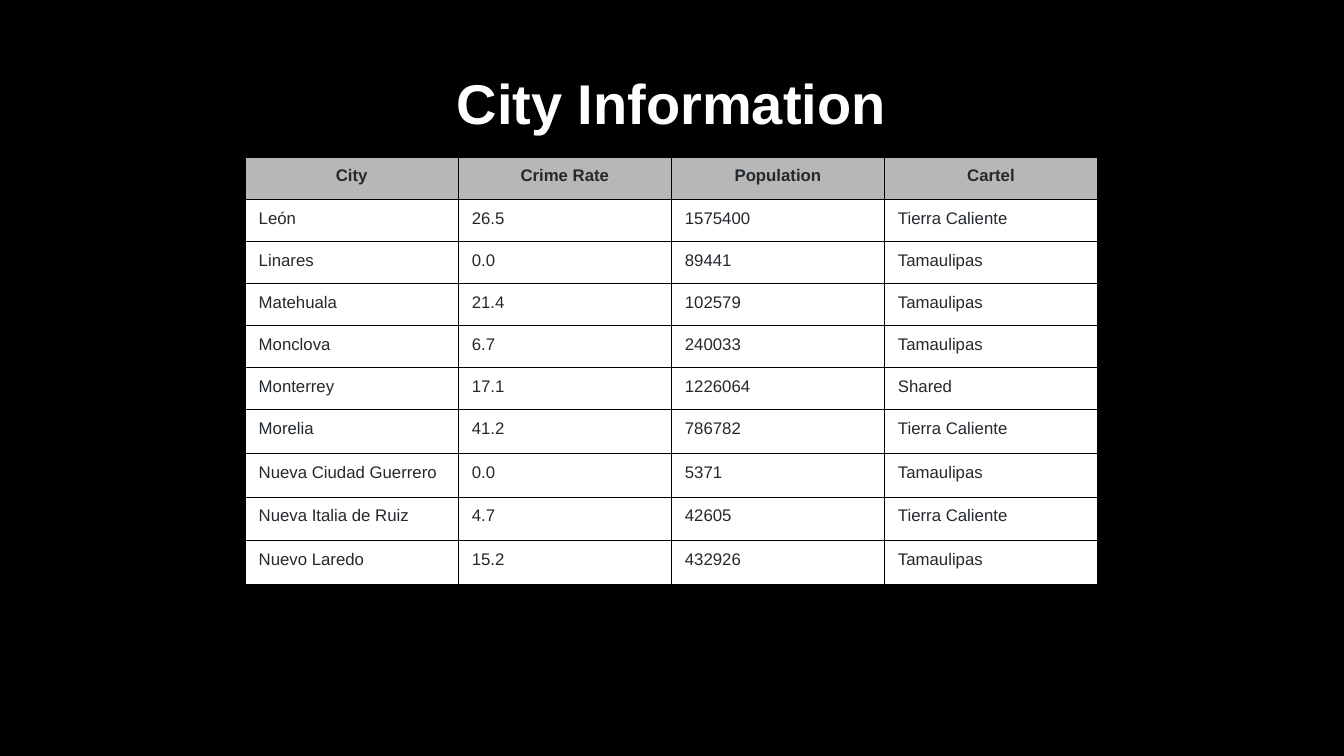
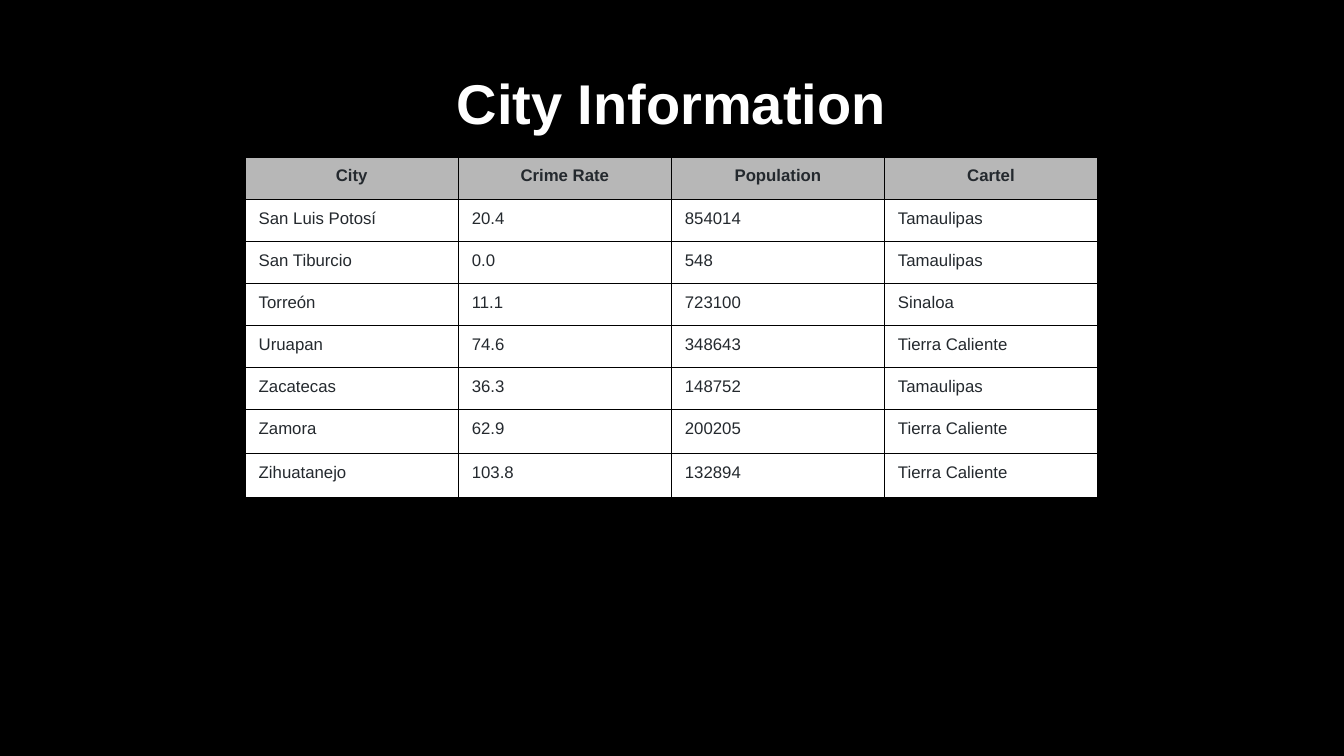
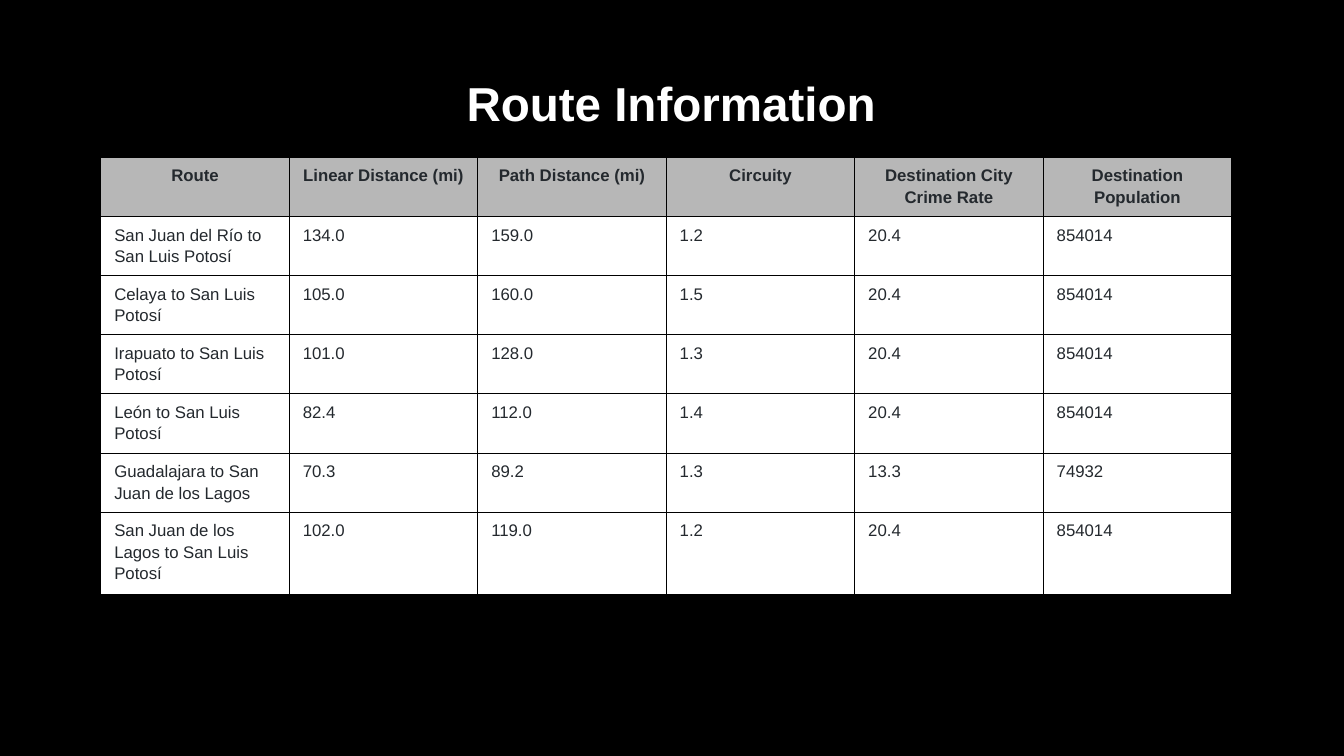
import pptx
import pptx.dml.color
import pptx.enum.text
import pptx.oxml.ns
import pptx.util
from lxml import etree

Cm = pptx.util.Cm
Pt = pptx.util.Pt
RGBColor = pptx.dml.color.RGBColor
PP_ALIGN = pptx.enum.text.PP_ALIGN
qn = pptx.oxml.ns.qn

BLACK = RGBColor(0x00, 0x00, 0x00)
WHITE = RGBColor(0xFF, 0xFF, 0xFF)
HEADER_GREY = RGBColor(0xB7, 0xB7, 0xB7)
INK = RGBColor(0x24, 0x29, 0x2E)

FONT = "Arial"
BLANK_LAYOUT = 6
TABLE_TOP = Cm(3.97)
ROW_LOW, ROW_HIGH = 1.06, 1.1
TWO_LINES, THREE_LINES = 1.41, 1.97

CITY_HEADER = ("City", "Crime Rate", "Population", "Cartel")
CITIES_L_TO_N = [
    ("León", "26.5", "1575400", "Tierra Caliente"),
    ("Linares", "0.0", "89441", "Tamaulipas"),
    ("Matehuala", "21.4", "102579", "Tamaulipas"),
    ("Monclova", "6.7", "240033", "Tamaulipas"),
    ("Monterrey", "17.1", "1226064", "Shared"),
    ("Morelia", "41.2", "786782", "Tierra Caliente"),
    ("Nueva Ciudad Guerrero", "0.0", "5371", "Tamaulipas"),
    ("Nueva Italia de Ruiz", "4.7", "42605", "Tierra Caliente"),
    ("Nuevo Laredo", "15.2", "432926", "Tamaulipas"),
]
CITIES_S_TO_Z = [
    ("San Luis Potosí", "20.4", "854014", "Tamaulipas"),
    ("San Tiburcio", "0.0", "548", "Tamaulipas"),
    ("Torreón", "11.1", "723100", "Sinaloa"),
    ("Uruapan", "74.6", "348643", "Tierra Caliente"),
    ("Zacatecas", "36.3", "148752", "Tamaulipas"),
    ("Zamora", "62.9", "200205", "Tierra Caliente"),
    ("Zihuatanejo", "103.8", "132894", "Tierra Caliente"),
]
ROUTE_HEADER = ("Route", "Linear Distance (mi)", "Path Distance (mi)", "Circuity",
                "Destination City Crime Rate", "Destination Population")
ROUTES = [
    ("San Juan del Río to San Luis Potosí", "134.0", "159.0", "1.2", "20.4", "854014"),
    ("Celaya to San Luis Potosí", "105.0", "160.0", "1.5", "20.4", "854014"),
    ("Irapuato to San Luis Potosí", "101.0", "128.0", "1.3", "20.4", "854014"),
    ("León to San Luis Potosí", "82.4", "112.0", "1.4", "20.4", "854014"),
    ("Guadalajara to San Juan de los Lagos", "70.3", "89.2", "1.3", "13.3", "74932"),
    ("San Juan de los Lagos to San Luis Potosí", "102.0", "119.0", "1.2", "20.4", "854014"),
]


def style_paragraph(p, size, color, bold, spacing):
    p.line_spacing = spacing
    p.font.name = FONT
    p.font.size = Pt(size)
    p.font.bold = bold
    p.font.color.rgb = color


def add_title(s, text, size):
    sp = s.shapes.add_textbox(Cm(2.54), Cm(0.84), Cm(28.75), Cm(3.68))
    tf = sp.text_frame
    tf.word_wrap = True
    tf.vertical_anchor = pptx.enum.text.MSO_ANCHOR.MIDDLE
    p = tf.paragraphs[0]
    p.text = text
    p.alignment = PP_ALIGN.CENTER
    style_paragraph(p, size, WHITE, True, 0.9)


def add_borders(cell):
    """Call before the fill is set: the schema wants the lines first."""
    tc_pr = cell._tc.get_or_add_tcPr()
    for side in ("a:lnL", "a:lnR", "a:lnT", "a:lnB"):
        ln = etree.SubElement(tc_pr, qn(side), w=str(Pt(0.75)))
        fill = etree.SubElement(ln, qn("a:solidFill"))
        etree.SubElement(fill, qn("a:srgbClr"), val=str(BLACK))


def fill_cell(cell, text, is_header):
    add_borders(cell)
    cell.fill.solid()
    cell.fill.fore_color.rgb = HEADER_GREY if is_header else WHITE
    cell.margin_left = cell.margin_right = Cm(0.34)
    cell.margin_top = cell.margin_bottom = Cm(0.16)
    p = cell.text_frame.paragraphs[0]
    p.text = text
    p.alignment = PP_ALIGN.CENTER if is_header else PP_ALIGN.LEFT
    p.space_after = Pt(12)
    style_paragraph(p, 12, INK, is_header, 1.15)


def add_data_table(s, header, records, left, col_width, row_heights):
    rows = [header, *records]
    frame = s.shapes.add_table(len(rows), len(header), Cm(left), TABLE_TOP,
                               Cm(col_width * len(header)), Cm(sum(row_heights)))
    table = frame.table
    table.horz_banding = False
    for col in table.columns:
        col.width = Cm(col_width)
    for i, (values, height) in enumerate(zip(rows, row_heights)):
        table.rows[i].height = Cm(height)
        for j, text in enumerate(values):
            fill_cell(table.cell(i, j), text, i == 0)


def add_slide(prs, title, title_size):
    s = prs.slides.add_slide(prs.slide_layouts[BLANK_LAYOUT])
    add_title(s, title, title_size)
    return s


def add_city_slide(prs, cities):
    s = add_slide(prs, "City Information", 40)
    heights = [ROW_LOW] * 6 + [ROW_HIGH] * (len(cities) - 5)
    add_data_table(s, CITY_HEADER, cities, 6.18, 5.37, heights)


def add_route_slide(prs):
    s = add_slide(prs, "Route Information", 34)
    heights = [TWO_LINES] * len(ROUTES) + [THREE_LINES]
    add_data_table(s, ROUTE_HEADER, ROUTES, 2.54, 4.75, heights)


def main():
    prs = pptx.Presentation()
    prs.slide_width, prs.slide_height = Cm(33.87), Cm(19.05)
    background = prs.slide_master.background.fill
    background.solid()
    background.fore_color.rgb = BLACK
    add_city_slide(prs, CITIES_L_TO_N)
    add_city_slide(prs, CITIES_S_TO_Z)
    add_route_slide(prs)
    prs.save("out.pptx")


if __name__ == "__main__":
    main()
